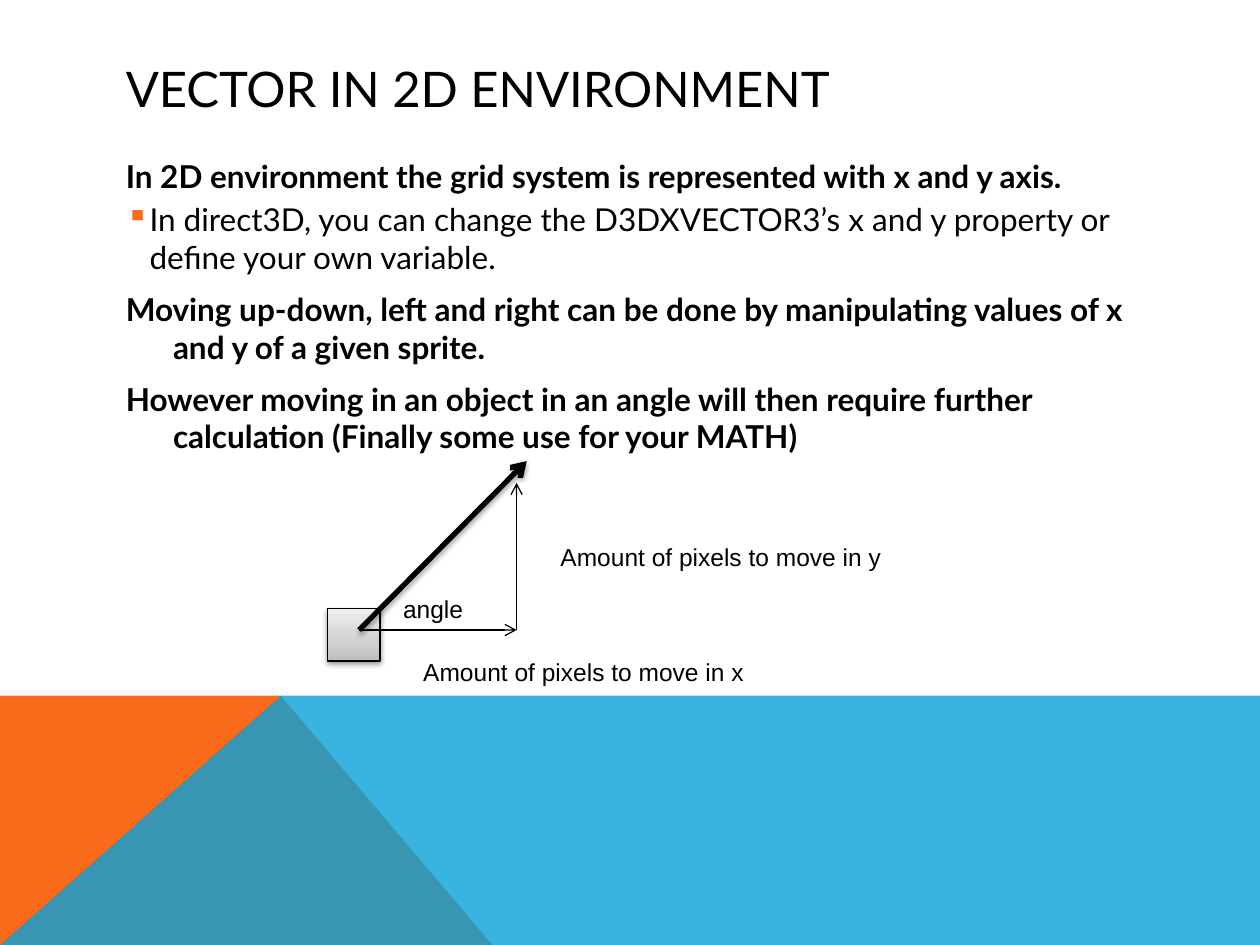
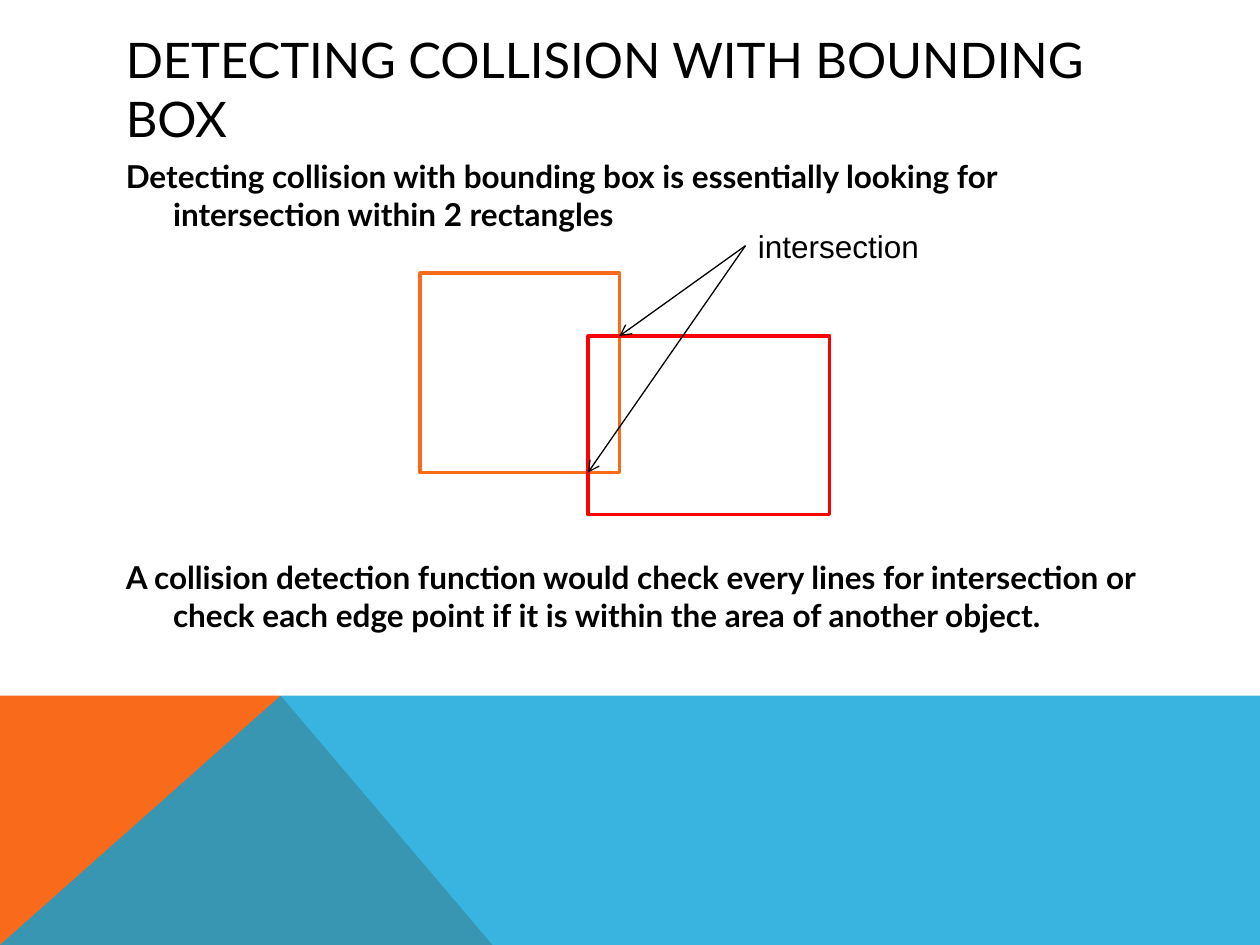
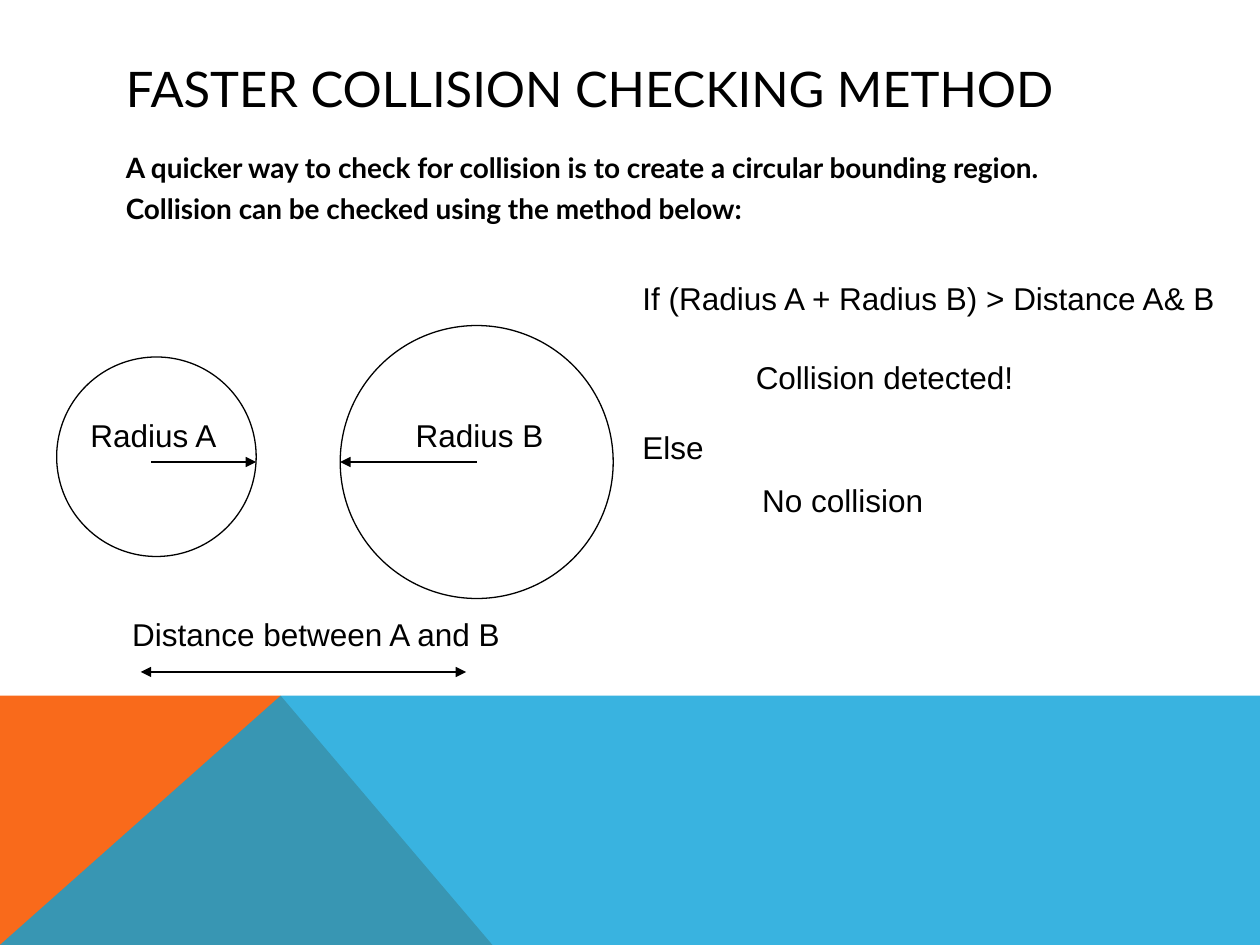
"""Build three slides on 2D vectors and collision detection."""
from lxml import etree
from pptx import Presentation
from pptx.dml.color import RGBColor
from pptx.enum.shapes import MSO_CONNECTOR, MSO_SHAPE
from pptx.enum.text import MSO_ANCHOR, MSO_AUTO_SIZE
from pptx.oxml import parse_xml
from pptx.oxml.ns import nsdecls, qn
from pptx.util import Pt

BLACK = RGBColor(0x00, 0x00, 0x00)
ORANGE = RGBColor(0xF9, 0x6A, 0x1B)
BLUE = RGBColor(0x08, 0xA1, 0xD9)
RED = RGBColor(0xFF, 0x00, 0x00)
STRAIGHT = MSO_CONNECTOR.STRAIGHT
RECTANGLE = MSO_SHAPE.RECTANGLE
OVAL = MSO_SHAPE.OVAL
MIDDLE = MSO_ANCHOR.MIDDLE
TOP = MSO_ANCHOR.TOP
FIT_SHAPE = MSO_AUTO_SIZE.SHAPE_TO_FIT_TEXT
NO_FIT = MSO_AUTO_SIZE.NONE

WIDTH, HEIGHT = 720, 540
BAND_TOP, PEAK, FOOT = 397.6, 160.4, 281.4
BANDS = [
    (ORANGE, 100, [(0, HEIGHT), (0, BAND_TOP), (PEAK, BAND_TOP), (FOOT, HEIGHT)]),
    (BLUE, 80, [(0, HEIGHT), (PEAK, BAND_TOP), (WIDTH, BAND_TOP), (WIDTH, HEIGHT)]),
]
TITLE_FRAME = (64.8, 28.8, 592, 43.2)
BODY_FRAME = (64.8, 86.4, 592, 281.6)
TITLE = {"size": Pt(28), "name": "Lato"}
BODY = {"size": Pt(18), "name": "Lato", "bold": True}
DETAIL = {"size": Pt(18), "name": "Lato", "bold": False}
SMALL_BODY = {"size": Pt(16), "name": "Lato", "bold": True}
SMALL_LABEL = {"size": Pt(14), "name": "Arial"}
LABEL = {"size": Pt(18), "name": "Arial"}
HANGING, BULLET_INDENT = 27, 13.6
DIAGRAM_GAP = 185.6


def add_text(page, frame, paragraphs, wrap=True, anchor=TOP):
    """Add a text box from (text, format, space before, line spacing, indent) tuples."""
    box = page.shapes.add_textbox(*map(Pt, frame))
    text_frame = box.text_frame
    text_frame.word_wrap = wrap
    text_frame.auto_size = NO_FIT if wrap else FIT_SHAPE
    text_frame.vertical_anchor = anchor
    for index, (text, style, before, spacing, indent) in enumerate(paragraphs):
        para = text_frame.paragraphs[0] if index == 0 else text_frame.add_paragraph()
        para.space_before = Pt(before)
        para.line_spacing = spacing
        properties = para._p.get_or_add_pPr()
        properties.set("marL", str(Pt(indent)))
        properties.set("indent", str(-Pt(indent)))
        if indent == BULLET_INDENT:
            para.level = 1
            color = etree.SubElement(properties, qn("a:buClr"))
            etree.SubElement(color, qn("a:srgbClr"), val=str(ORANGE))
            etree.SubElement(properties, qn("a:buChar"), char="▪")
        span = para.add_run()
        span.text = text
        span.font.color.rgb = BLACK
        for attribute, value in style.items():
            setattr(span.font, attribute, value)


def add_arrow(page, start, end, tail="arrow", head=None, weight=0.75):
    """Add a black arrow without a shadow and return it."""
    arrow = page.shapes.add_connector(STRAIGHT, *map(Pt, start + end))
    arrow.line.color.rgb = BLACK
    arrow.line.width = Pt(weight)
    line = arrow.line._get_or_add_ln()
    for tag, kind in (("a:headEnd", head), ("a:tailEnd", tail)):
        if kind:
            etree.SubElement(line, qn(tag), type=kind)
    etree.SubElement(arrow._element.spPr, qn("a:effectLst"))
    return arrow


deck = Presentation()
deck.slide_width, deck.slide_height = Pt(WIDTH), Pt(HEIGHT)

contents = [
    ("VECTOR IN 2D ENVIRONMENT", [
        ("In 2D environment the grid system is represented with x and y axis.",
         BODY, 0, 1.0, HANGING),
        ("In direct3D, you can change the D3DXVECTOR3’s x and y property or "
         "define your own variable.", DETAIL, 3, 1.0, BULLET_INDENT),
        ("Moving up-down, left and right can be done by manipulating values of x "
         "and y of a given sprite.", BODY, 8, 1.0, HANGING),
        ("However moving in an object in an angle will then require further "
         "calculation (Finally some use for your MATH)", BODY, 8, 1.0, HANGING),
    ]),
    ("DETECTING COLLISION WITH BOUNDING BOX", [
        ("Detecting collision with bounding box is essentially looking for "
         "intersection within 2 rectangles", BODY, 0, 1.0, HANGING),
        ("A collision detection function would check every lines for intersection or "
         "check each edge point if it is within the area of another object.",
         BODY, DIAGRAM_GAP, 1.0, HANGING),
    ]),
    ("FASTER COLLISION CHECKING METHOD", [
        ("A quicker way to check for collision is to create a circular bounding region.",
         SMALL_BODY, 0, 0.8, HANGING),
        ("Collision can be checked using the method below:", SMALL_BODY, 8, 0.8, HANGING),
    ]),
]

pages = []
for title, paragraphs in contents:
    page = deck.slides.add_slide(deck.slide_layouts[6])
    for color, opacity, points in BANDS:
        corners = [(Pt(x), Pt(y)) for x, y in points]
        builder = page.shapes.build_freeform(*corners[0])
        builder.add_line_segments(corners[1:], close=True)
        band = builder.convert_to_shape()
        band.shadow.inherit = False
        band.fill.solid()
        band.fill.fore_color.rgb = color
        band.line.fill.background()
        fill_color = band._element.spPr.find(qn("a:solidFill"))[0]
        etree.SubElement(fill_color, qn("a:alpha"), val=str(opacity * 1000))
    add_text(page, TITLE_FRAME, [(title, TITLE, 0, 1.0, 0)], anchor=MIDDLE)
    add_text(page, BODY_FRAME, paragraphs)
    pages.append(page)
vector_page, boxes_page, circles_page = pages

outlines = [
    (vector_page, RECTANGLE, (187.2, 347.8, 30, 30), BLACK, 0.75),
    (boxes_page, RECTANGLE, (240, 156, 114, 114), ORANGE, 2),
    (boxes_page, RECTANGLE, (336, 192, 138, 102), RED, 2),
    (circles_page, OVAL, (32.4, 204, 114, 114), BLACK, 0.75),
    (circles_page, OVAL, (194.4, 186, 156, 156), BLACK, 0.75),
]
outline_shapes = []
for page, kind, frame, color, weight in outlines:
    outline = page.shapes.add_shape(kind, *map(Pt, frame))
    outline.shadow.inherit = False
    outline.fill.background()
    outline.line.color.rgb = color
    outline.line.width = Pt(weight)
    outline_shapes.append(outline)

sprite = outline_shapes[0]
sprite_properties = sprite._element.spPr
sprite_properties.replace(sprite_properties.find(qn("a:noFill")), parse_xml(
    f'<a:gradFill {nsdecls("a")} rotWithShape="1"><a:gsLst>'
    '<a:gs pos="0"><a:srgbClr val="BDBDBD"/></a:gs>'
    '<a:gs pos="35000"><a:srgbClr val="D1D1D1"/></a:gs>'
    '<a:gs pos="100000"><a:srgbClr val="EEEEEE"/></a:gs>'
    '</a:gsLst><a:lin ang="16200000" scaled="1"/></a:gradFill>'))

direction = add_arrow(vector_page, (205.2, 360), (301, 263.5), weight=3)
for shape, opacity, distance in ((sprite, 38, 1.6), (direction, 35, 1.8)):
    effects = shape._element.spPr.find(qn("a:effectLst"))
    shadow = etree.SubElement(effects, qn("a:outerShdw"), blurRad=str(Pt(3.1)),
                              dist=str(Pt(distance)), dir="5400000", rotWithShape="0")
    shadow_color = etree.SubElement(shadow, qn("a:srgbClr"), val=str(BLACK))
    etree.SubElement(shadow_color, qn("a:alpha"), val=str(opacity * 1000))

add_arrow(vector_page, (205.2, 360), (295.2, 360))
add_arrow(vector_page, (295.2, 360), (295.2, 276))
for corner in ((354, 192), (336, 270)):
    add_arrow(boxes_page, (426, 140.4), corner)
add_arrow(circles_page, (272.4, 264), (194.4, 264), tail="triangle")
add_arrow(circles_page, (86.4, 264), (146.4, 264), tail="triangle")
add_arrow(circles_page, (80.4, 384), (266.4, 384), tail="triangle", head="triangle")

labels = [
    (vector_page, SMALL_LABEL, "Amount of pixels to move in y", (313.2, 306, 198.7, 24.2)),
    (vector_page, SMALL_LABEL, "Amount of pixels to move in x", (234.8, 371.8, 198.7, 24.2)),
    (vector_page, SMALL_LABEL, "angle", (223.2, 335.8, 49, 24.2)),
    (boxes_page, LABEL, "intersection", (426, 126, 107.3, 29)),
    (circles_page, LABEL, "Radius A", (44.6, 234, 87.8, 29)),
    (circles_page, LABEL, "Radius B", (230.4, 234, 87.8, 29)),
    (circles_page, LABEL, "Distance between A and B", (68.4, 348, 226.8, 29)),
    (circles_page, LABEL, "If (Radius A + Radius B) > Distance A& B", (360, 156, 344.2, 29)),
    (circles_page, LABEL, "Collision detected!", (424.8, 201, 161.3, 29)),
    (circles_page, LABEL, "Else", (360, 241, 49.7, 29)),
    (circles_page, LABEL, "No collision", (428.4, 271.4, 106.6, 29)),
]
for page, style, text, frame in labels:
    add_text(page, frame, [(text, style, 0, 1.0, 0)], wrap=False)

deck.save("out.pptx")
